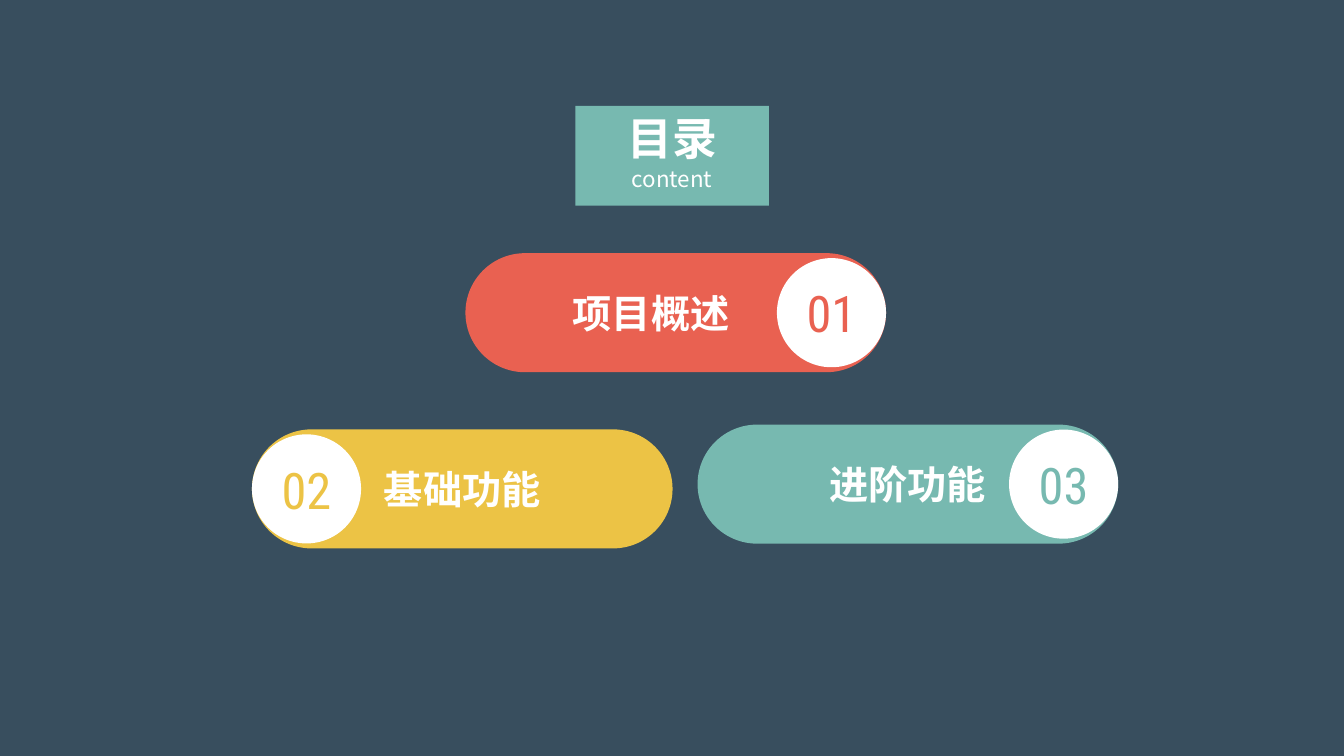
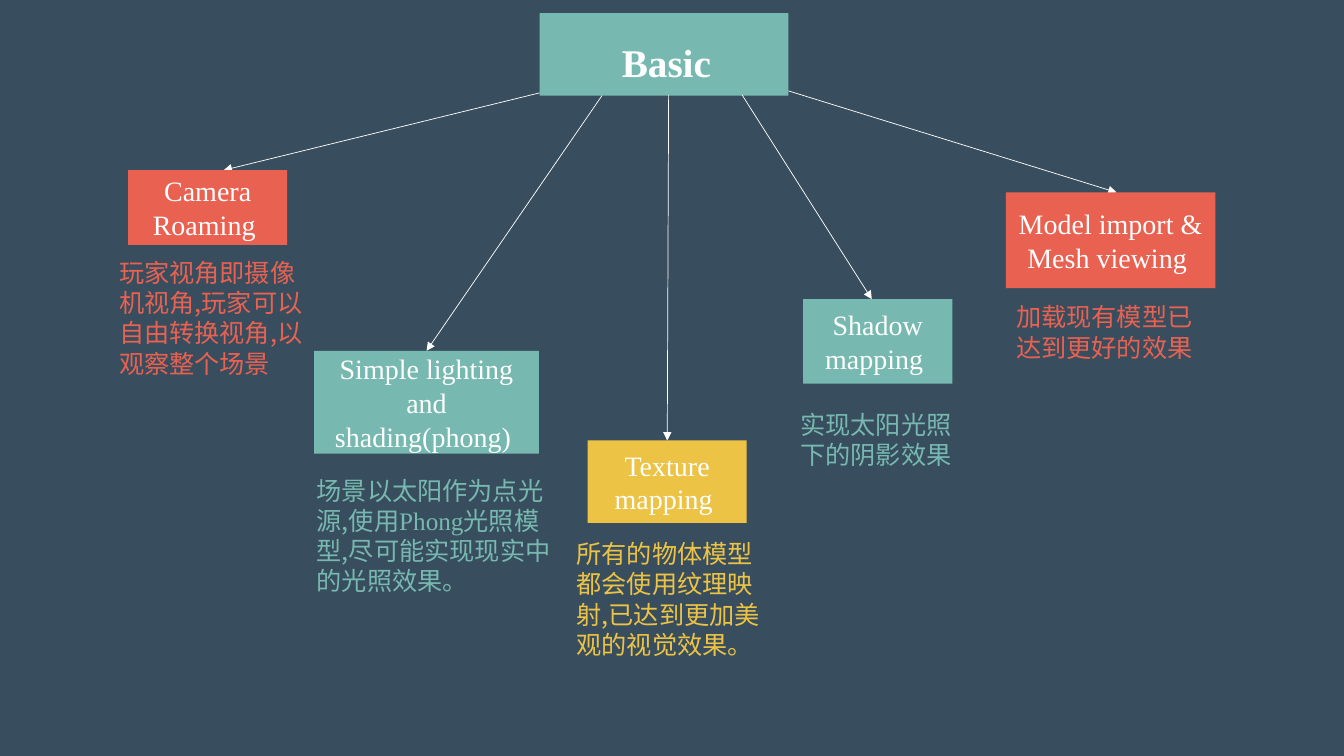
from dataclasses import dataclass

from lxml.etree import SubElement
from pptx import Presentation
from pptx.dml.color import RGBColor
from pptx.enum.shapes import MSO_CONNECTOR, MSO_SHAPE
from pptx.enum.text import MSO_ANCHOR, MSO_AUTO_SIZE, PP_ALIGN
from pptx.oxml.ns import qn
from pptx.util import Cm, Pt

NAVY = RGBColor(0x38, 0x4E, 0x5E)
TEAL = RGBColor(0x77, 0xB9, 0xB0)
RED = RGBColor(0xE9, 0x61, 0x51)
YELLOW = RGBColor(0xEC, 0xC3, 0x45)
WHITE = RGBColor(0xFF, 0xFF, 0xFF)
SANS = "Noto Sans CJK SC"
NUMERAL = "Roboto Condensed"
SERIF = "Times New Roman"
INSET = 0.13
PILL_W, PILL_H, DISC = 10.6, 3, 2.75


@dataclass
class Node:
    """A branch of the tree: its box, its note and its arrow."""
    text: str
    color: RGBColor
    box: tuple
    note: list
    note_offset: tuple
    note_size: tuple
    start: tuple
    tip_dx: float = 0


NODES = [
    Node("Camera Roaming ", RED, (3.23, 4.29, 4.01, 1.88),
         [("玩家视角即摄像机视角,玩家可以自由转换视角,以观察整个场景".replace(",", ","), SANS)],
         (-0.36, 0.18), (5.05, 4.67), (0, 2.01), 0.4),
    Node("Simple lighting and shading(phong) ", TEAL, (7.92, 8.84, 5.66, 2.59),
         [("场景以太阳作为点光源,使用".replace(",", ","), SANS), ("Phong", SERIF),
          ("光照模型,尽可能实现现实中的光照效果。".replace(",", ","), SANS)],
         (-0.07, 0.41), (6.17, 3.81), (1.57, 2.08)),
    Node("Texture mapping ", YELLOW, (14.81, 11.1, 4.01, 2.08),
         [("所有的物体模型都会使用纹理映射,已达到更加美观的视觉效果。".replace(",", ","), SANS)],
         (-0.41, 0.26), (5.05, 4.67), (3.25, 2.06)),
    Node("Shadow mapping ", TEAL, (20.24, 7.54, 3.76, 2.13),
         [("实现太阳光照下的阴影效果", SANS)],
         (-0.2, 0.52), (4.5, 2.01), (5.1, 2.06), -0.15),
    Node("Model import & Mesh viewing ", RED, (25.35, 4.85, 5.28, 2.41),
         [("加载现有模型已达到更好的效果", SANS)],
         (0.13, 0.21), (5.16, 2.01), (6.27, 1.96), 0.15),
]


def add_run(p, text, size, font=SANS, color=WHITE, bold=False):
    """Append a formatted run, with the font set for both scripts."""
    r = p.add_run()
    r.text = text
    r.font.size, r.font.bold, r.font.name = Pt(size), bold, font
    r.font.color.rgb = color
    SubElement(r.font._element, qn("a:ea")).set("typeface", font)


def set_frame(tf, anchor, left=INSET, top=INSET, right=INSET, bottom=INSET):
    """Set wrapping, anchor and insets of a text frame and return it."""
    tf.word_wrap = True
    tf.auto_size = MSO_AUTO_SIZE.NONE
    tf.vertical_anchor = anchor
    tf.margin_left, tf.margin_top = Cm(left), Cm(top)
    tf.margin_right, tf.margin_bottom = Cm(right), Cm(bottom)
    return tf


def add_box(s, kind, box, fill, text, size, right=INSET, **fmt):
    """Draw a filled shape with centred text."""
    sp = s.shapes.add_shape(kind, *map(Cm, box))
    sp.shadow.inherit = False
    sp.fill.solid()
    sp.fill.fore_color.rgb = fill
    sp.line.fill.background()
    tf = set_frame(sp.text_frame, MSO_ANCHOR.MIDDLE, right=right, top=0, bottom=0)
    p = tf.paragraphs[0]
    p.alignment = PP_ALIGN.CENTER
    add_run(p, text, size, **fmt)
    return sp


def add_title(s, box, lines, **frame):
    """Turn the title placeholder into a teal box holding the given lines."""
    sp = s.shapes.title
    sp.left, sp.top, sp.width, sp.height = map(Cm, box)
    sp.fill.solid()
    sp.fill.fore_color.rgb = TEAL
    tf = set_frame(sp.text_frame, **frame)
    for i, (text, fmt) in enumerate(lines):
        p = tf.add_paragraph() if i else tf.paragraphs[0]
        p.alignment = PP_ALIGN.CENTER
        add_run(p, text, **fmt)


def add_pill(s, x, y, number, label, color, disc_left=False, label_right=INSET):
    """Draw a rounded bar with its label and a numbered disc at one end."""
    pill = add_box(s, MSO_SHAPE.ROUNDED_RECTANGLE, (x, y, PILL_W, PILL_H), color,
                   label, 28, right=label_right, bold=True)
    pill.adjustments[0] = 0.5
    disc_x = x if disc_left else x + PILL_W - DISC
    add_box(s, MSO_SHAPE.OVAL, (disc_x, y + (PILL_H - DISC) / 2, DISC, DISC), WHITE,
            number, 36, font=NUMERAL, color=color)


def add_arrow(s, start, end):
    """Draw a thin white arrow."""
    cxn = s.shapes.add_connector(MSO_CONNECTOR.STRAIGHT, *map(Cm, start + end))
    cxn.line.color.rgb = WHITE
    cxn.line.width = Pt(0.5)
    spPr = cxn._element.spPr
    SubElement(spPr.find(qn("a:ln")), qn("a:tailEnd")).set("type", "triangle")
    SubElement(spPr, qn("a:effectLst"))


def add_node(s, node, root):
    """Draw a branch: arrow from the root, box and note below it."""
    x, y, w, h = node.box
    start = (root[0] + node.start[0], root[1] + node.start[1])
    add_arrow(s, start, (x + w / 2 + node.tip_dx, y))
    add_box(s, MSO_SHAPE.RECTANGLE, node.box, node.color, node.text, 20, font=SERIF)
    dx, dy = node.note_offset
    tb = s.shapes.add_textbox(*map(Cm, (x + dx, y + h + dy) + node.note_size))
    p = set_frame(tb.text_frame, MSO_ANCHOR.TOP).paragraphs[0]
    for text, font in node.note:
        add_run(p, text, 18, font=font, color=node.color)


def add_contents(prs):
    """Build the contents slide."""
    s = prs.slides.add_slide(prs.slide_layouts[5])
    add_title(s, (14.5, 2.67, 4.88, 2.51),
              [("目录", dict(size=32, bold=True)), ("content", dict(size=16))],
              anchor=MSO_ANCHOR.TOP)
    add_pill(s, 11.73, 6.38, "01", "项目概述", RED, label_right=1.37)
    add_pill(s, 6.35, 10.82, "02", "基础功能", YELLOW, disc_left=True)
    add_pill(s, 17.58, 10.7, "03", "进阶功能", TEAL)


def add_tree(prs):
    """Build the slide with the tree of basic features."""
    s = prs.slides.add_slide(prs.slide_layouts[5])
    root = (13.6, 0.33, 6.27, 2.08)
    add_title(s, root, [("Basic", dict(size=28, font=SERIF, bold=True))],
              anchor=MSO_ANCHOR.MIDDLE, left=0.25, top=0.4, bottom=0)
    for node in NODES:
        add_node(s, node, root)


def main():
    """Build and save the presentation."""
    prs = Presentation()
    prs.slide_width, prs.slide_height = Cm(33.87), Cm(19.05)
    fill = prs.slide_master.background.fill
    fill.solid()
    fill.fore_color.rgb = NAVY
    add_contents(prs)
    add_tree(prs)
    prs.save("out.pptx")


main()
